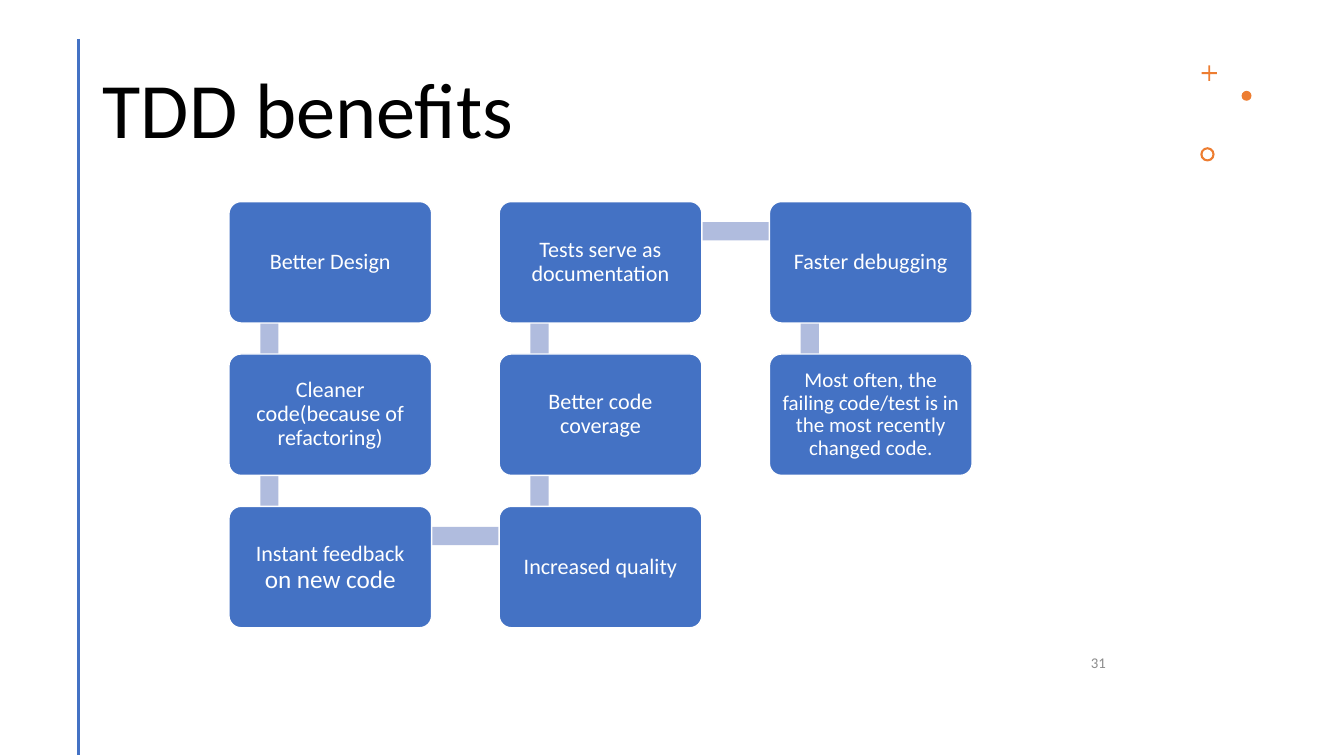
from lxml.etree import SubElement
from pptx import Presentation
from pptx.dml.color import RGBColor
from pptx.enum.shapes import MSO_CONNECTOR, MSO_SHAPE
from pptx.enum.text import MSO_ANCHOR, PP_ALIGN
from pptx.oxml.ns import qn
from pptx.util import Cm, Pt

COLORS = {"blue": "4472C4", "pale": "B0BCDE", "orange": "ED7D31",
          "white": "FFFFFF", "black": "000000", "gray": "8C8C8C"}

# Benefits in reading order, each a list of (text, size) runs
BENEFITS = [
    [("Better Design", 15.8)],
    [("Cleaner code(because of refactoring)", 15.8)],
    [("Instant feedback", 15.8), (" on new code", 18)],
    [("Increased quality", 15.8)],
    [("Better code coverage", 15.8)],
    [("Tests serve as documentation", 15.8)],
    [("Faster debugging", 15.8)],
    [("Most often, the failing code/test is in the most recently changed code.", 15)],
]
ROWS = 3
GRID_LEFT, GRID_TOP = 5.77, 5.08
PITCH_X, PITCH_Y = 6.81, 3.84
CARD_WIDTH, CARD_HEIGHT = 5.11, 3.06
TRACK_X, TRACK_Y, TRACK_WIDTH = 1.02, 0.75, 0.46


def color(name):
    return RGBColor.from_string(COLORS[name])


class BenefitsSlide:
    font = "Calibri"

    def __init__(self, slide):
        self.slide = slide

    def add_runs(self, frame, runs, ink, align, spacing=1.0):
        frame.word_wrap = True
        frame.vertical_anchor = MSO_ANCHOR.MIDDLE
        paragraph = frame.paragraphs[0]
        paragraph.alignment = align
        paragraph.line_spacing = spacing
        for text, size in runs:
            run = paragraph.add_run()
            run.text = text
            run.font.name = self.font
            run.font.size = Pt(size)
            run.font.color.rgb = color(ink)

    def label(self, box, runs, ink, align, spacing=1.0):
        holder = self.slide.shapes.add_textbox(*map(Cm, box))
        self.add_runs(holder.text_frame, runs, ink, align, spacing)

    def shape(self, kind, box, fill, adjust=None):
        figure = self.slide.shapes.add_shape(kind, *map(Cm, box))
        figure.shadow.inherit = False
        figure.fill.solid()
        figure.fill.fore_color.rgb = color(fill)
        figure.line.fill.background()
        if adjust is not None:
            figure.adjustments[0] = adjust
        return figure

    def card(self, left, top, runs):
        card = self.shape(MSO_SHAPE.ROUNDED_RECTANGLE,
                          (left, top, CARD_WIDTH, CARD_HEIGHT), "blue", 0.1)
        card.line.color.rgb = color("white")
        card.line.width = Pt(1)
        frame = card.text_frame
        frame.margin_left = frame.margin_right = Cm(0.19)
        frame.margin_top = frame.margin_bottom = Cm(0.19)
        self.add_runs(frame, runs, "white", PP_ALIGN.CENTER, 0.9)

    def track(self, start, end):
        """Bar between the anchor points of two neighbouring cards."""
        (x1, y1), (x2, y2) = start, end
        half = TRACK_WIDTH / 2
        left, top = min(x1, x2) + TRACK_X, min(y1, y2) + TRACK_Y
        if x1 == x2:
            box = (left - half, top, TRACK_WIDTH, PITCH_Y)
        else:
            box = (left, top - half, PITCH_X, TRACK_WIDTH)
        self.shape(MSO_SHAPE.RECTANGLE, box, "pale")

    def rule(self, x, top, bottom):
        rule = self.slide.shapes.add_connector(
            MSO_CONNECTOR.STRAIGHT, Cm(x), Cm(top), Cm(x), Cm(bottom))
        rule.line.color.rgb = color("blue")
        rule.line.width = Pt(2)
        SubElement(rule.element.spPr, qn("a:effectLst"))


def card_position(index):
    """Cards run down one column and up the next."""
    column, step = divmod(index, ROWS)
    row = step if column % 2 == 0 else ROWS - 1 - step
    return GRID_LEFT + column * PITCH_X, GRID_TOP + row * PITCH_Y


def main():
    deck = Presentation()
    deck.slide_width, deck.slide_height = Cm(33.87), Cm(19.05)
    page = BenefitsSlide(deck.slides.add_slide(deck.slide_layouts[6]))

    # Title and side rule
    page.label((2.34, 1.02, 27.33, 3.68), [("TDD benefits", 56)],
               "black", PP_ALIGN.LEFT, 0.9)
    page.rule(1.98, 0.98, 19.02)

    # Corner ornaments
    page.shape(MSO_SHAPE.CROSS, (30.28, 1.65, 0.39, 0.39), "orange", 0.44)
    page.shape(MSO_SHAPE.OVAL, (31.29, 2.29, 0.25, 0.25), "orange")
    page.shape(MSO_SHAPE.DONUT, (30.25, 3.71, 0.36, 0.36), "orange", 0.15)

    # Winding chain of benefits
    positions = [card_position(index) for index in range(len(BENEFITS))]
    for index, runs in enumerate(BENEFITS):
        if index + 1 < len(BENEFITS):
            page.track(positions[index], positions[index + 1])
        page.card(*positions[index], runs)

    # Slide number
    page.label((21.34, 16.26, 6.78, 0.89), [("31", 10.6)],
               "gray", PP_ALIGN.RIGHT)

    deck.save("out.pptx")


if __name__ == "__main__":
    main()
